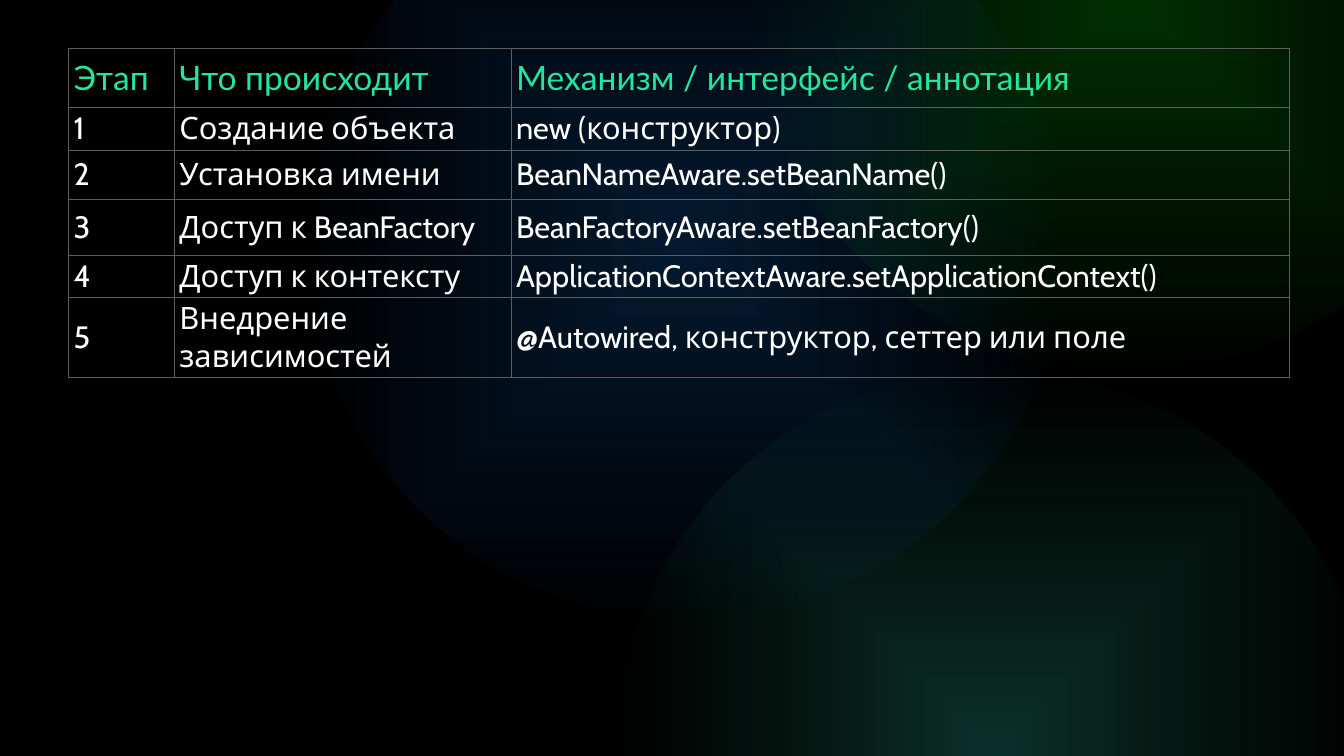
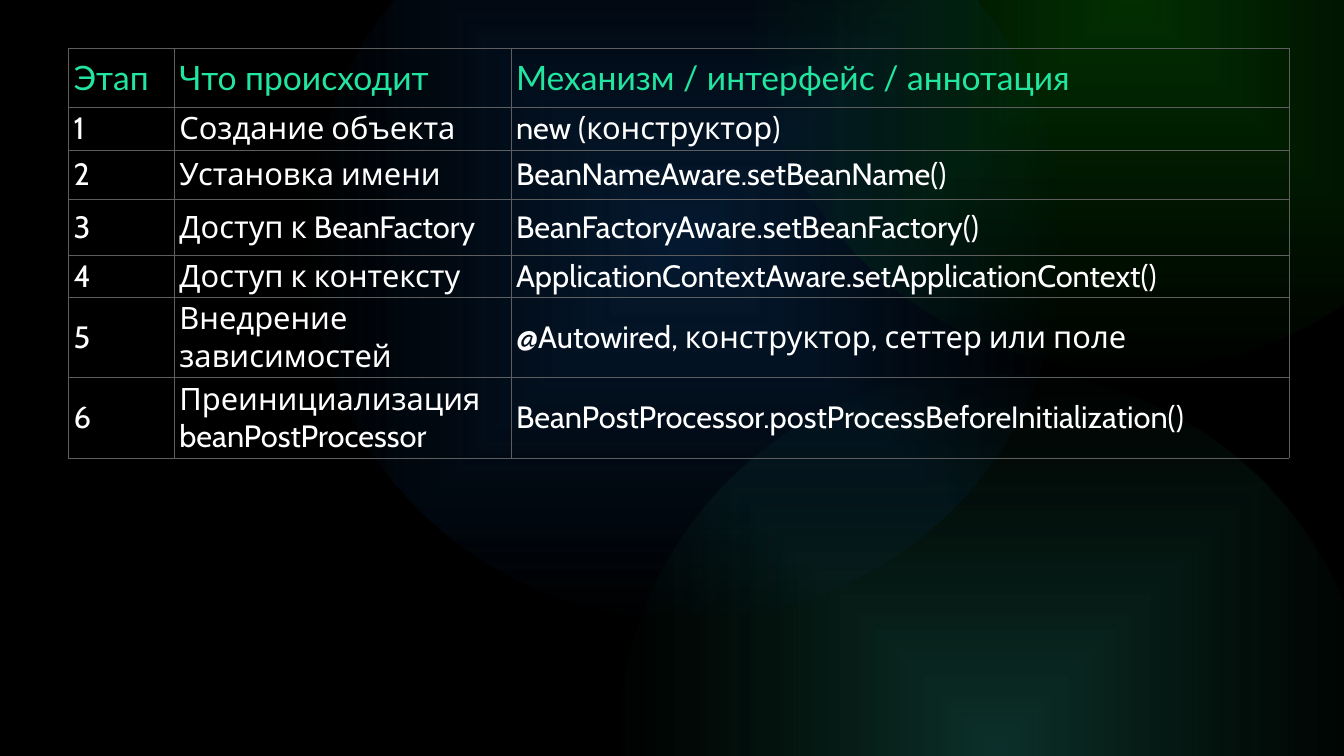
from dataclasses import dataclass

from lxml import etree
from pptx import Presentation
from pptx.dml.color import RGBColor
from pptx.enum.shapes import MSO_SHAPE
from pptx.enum.text import MSO_ANCHOR
from pptx.oxml import parse_xml
from pptx.oxml.ns import nsdecls, qn
from pptx.slide import Slide
from pptx.table import _Cell
from pptx.util import Inches, Pt

OVAL = MSO_SHAPE.OVAL
MIDDLE = MSO_ANCHOR.MIDDLE

COLORS = {
    "back": "000000",
    "text": "FFFFFF",
    "border": "5E5E5E",
    "green": "08BC08",
    "teal": "31C2A7",
    "moss": "209F6D",
    "blue": "1164C0",
    "lime": "34E234",
    "mint": "22E5A0",
    "sky": "5AB0FF",
}


@dataclass
class Stop:
    place: int
    color: str
    alpha: int = 100


@dataclass
class Glow:
    left: float
    top: float
    inner: Stop
    outer: Stop


@dataclass
class Style:
    font: str
    size: int
    space: int


@dataclass
class Step:
    event: str
    means: str
    height: float


# Shared look
SIZE = 15
GLOWS = [
    Glow(14.91, -7.64, Stop(0, "green", 25), Stop(100, "green", 0)),
    Glow(12.25, 7.36, Stop(0, "teal", 25), Stop(100, "moss", 0)),
    Glow(6.1, -2.7, Stop(1, "blue", 25), Stop(100, "blue", 0)),
]
CENTER = '<a:path path="shape"><a:fillToRect l="50000" t="50000" r="50000" b="50000"/></a:path>'
ACROSS = '<a:lin ang="0" scaled="0"/>'
TITLE = [Stop(0, "lime"), Stop(51, "mint"), Stop(100, "sky")]
HEAD = Style("Lato", 48, 6)
BODY = Style("Cabin", 44, 0)

# Table content
COLS = [2.1, 6.68, 15.44]
TOP_ROW = 1.18
HEADERS = ["Этап", "Что происходит", "Механизм / интерфейс / аннотация"]
STEPS = [
    Step("Создание объекта", "new (конструктор)", 0.85),
    Step("Установка имени", "BeanNameAware.setBeanName()", 0.97),
    Step("Доступ к BeanFactory", "BeanFactoryAware.setBeanFactory()", 1.11),
    Step("Доступ к контексту", "ApplicationContextAware.setApplicationContext()", 0.64),
    Step("Внедрение зависимостей", "@Autowired, конструктор, сеттер или поле", 1.08),
    Step("Преинициализация beanPostProcessor",
         "BeanPostProcessor.postProcessBeforeInitialization()", 1.6),
]
# Number of steps shown and table height, slide by slide
PAGES = [(5, 6.51), (6, 8.11)]


def blend(stops: list[Stop], course: str) -> etree._Element:
    """Make a gradient fill."""
    marks = "".join(
        f'<a:gs pos="{s.place * 1000}"><a:srgbClr val="{COLORS[s.color]}">'
        f'<a:alpha val="{s.alpha * 1000}"/></a:srgbClr></a:gs>'
        for s in stops
    )
    return parse_xml(
        f'<a:gradFill {nsdecls("a")} rotWithShape="1">'
        f"<a:gsLst>{marks}</a:gsLst>{course}</a:gradFill>"
    )


def add_glow(slide: Slide, glow: Glow) -> None:
    shape = slide.shapes.add_shape(
        OVAL, Inches(glow.left), Inches(glow.top), Inches(SIZE), Inches(SIZE)
    )
    shape.rotation = 180
    shape.shadow.inherit = False
    shape.line.fill.background()
    shape.fill.background()
    props = shape.element.spPr
    props.replace(props.find(qn("a:noFill")), blend([glow.inner, glow.outer], CENTER))


def add_edges(cell: _Cell) -> None:
    props = cell._tc.get_or_add_tcPr()
    for spot, side in enumerate(("lnL", "lnR", "lnT", "lnB")):
        props.insert(spot, parse_xml(
            f'<a:{side} {nsdecls("a")} w="{Pt(1)}"><a:solidFill>'
            f'<a:srgbClr val="{COLORS["border"]}"/></a:solidFill></a:{side}>'
        ))


def fill_cell(cell: _Cell, text: str, style: Style) -> None:
    cell.fill.background()
    add_edges(cell)
    cell.vertical_anchor = MIDDLE
    cell.text_frame.text = text
    para = cell.text_frame.paragraphs[0]
    para.space_before = para.space_after = Pt(style.space)
    run = para.runs[0]
    run.font.name = style.font
    run.font.size = Pt(style.size)
    if style is HEAD:
        run.font._element.insert(0, blend(TITLE, ACROSS))
    else:
        run.font.color.rgb = RGBColor.from_string(COLORS["text"])


def add_steps(slide: Slide, steps: list[Step], height: float) -> None:
    rows = [HEADERS] + [[str(n), s.event, s.means] for n, s in enumerate(steps, 1)]
    frame = slide.shapes.add_table(
        len(rows), len(COLS), Inches(1.36), Inches(0.95), Inches(sum(COLS)), Inches(height)
    )
    table = frame.table
    table.first_row = table.horz_banding = False
    for col, width in zip(table.columns, COLS):
        col.width = Inches(width)
    for row, tall in zip(table.rows, [TOP_ROW] + [s.height for s in steps]):
        row.height = Inches(tall)
    frame.height = Inches(height)
    for r, row in enumerate(rows):
        for c, text in enumerate(row):
            fill_cell(table.cell(r, c), text, BODY if r else HEAD)


def main() -> None:
    deck = Presentation()
    deck.slide_width, deck.slide_height = Inches(26.67), Inches(15)
    back = deck.slide_master.background.fill
    back.solid()
    back.fore_color.rgb = RGBColor.from_string(COLORS["back"])
    for count, height in PAGES:
        slide = deck.slides.add_slide(deck.slide_layouts[6])
        for glow in GLOWS:
            add_glow(slide, glow)
        add_steps(slide, STEPS[:count], height)
    deck.save("out.pptx")


if __name__ == "__main__":
    main()
